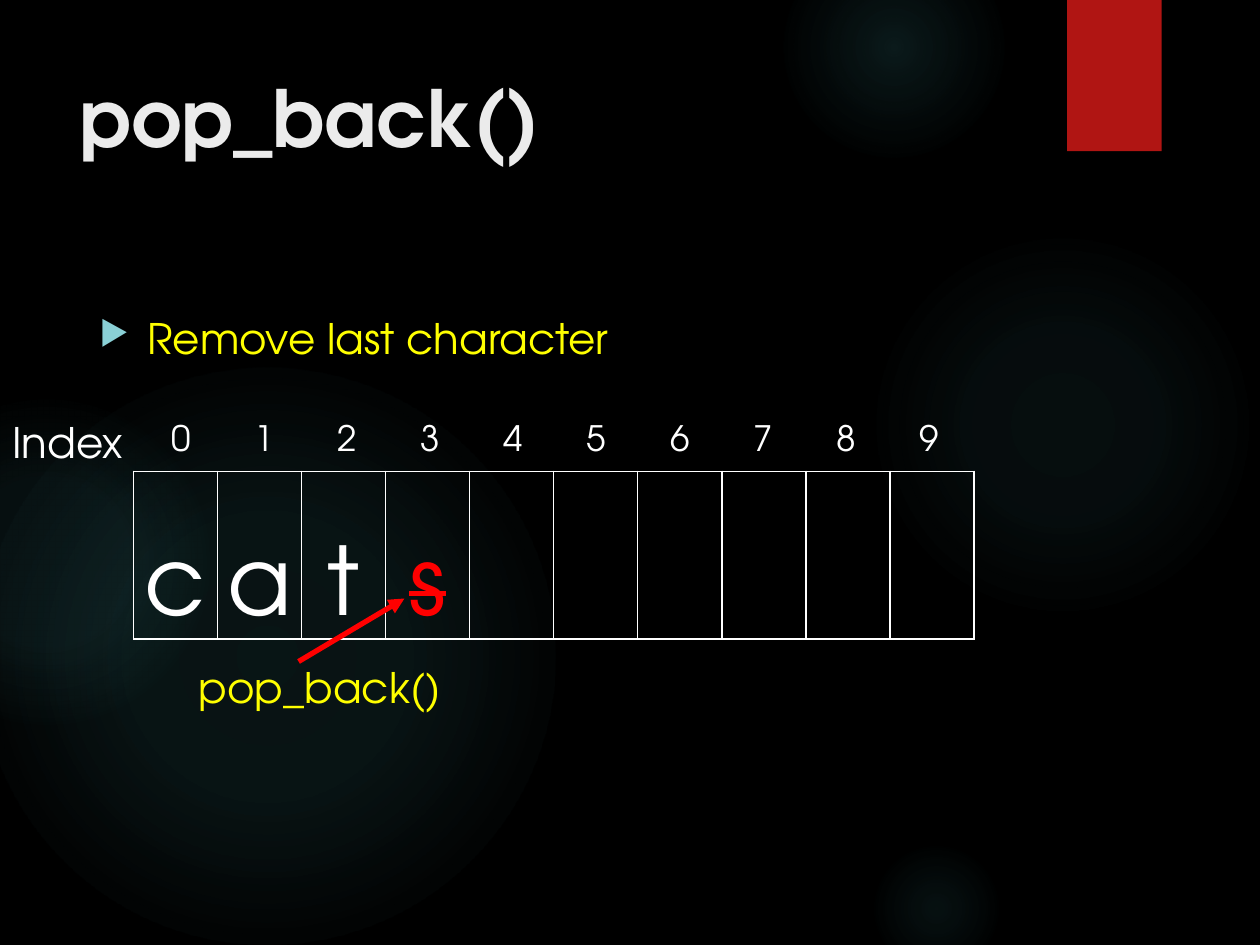
from lxml.etree import SubElement
from pptx import Presentation
from pptx.dml.color import RGBColor
from pptx.enum.shapes import MSO_CONNECTOR, MSO_SHAPE
from pptx.enum.text import MSO_ANCHOR, PP_ALIGN
from pptx.oxml import parse_xml
from pptx.oxml.ns import nsdecls, qn
from pptx.util import Inches, Pt

FONT = "TeX Gyre Adventor"
BLACK = RGBColor(0x00, 0x00, 0x00)
WHITE = RGBColor(0xFF, 0xFF, 0xFF)
OFF_WHITE = RGBColor(0xEB, 0xEB, 0xEB)
YELLOW = RGBColor(0xFF, 0xFF, 0x00)
RED = RGBColor(0xFF, 0x00, 0x00)
DARK_RED = RGBColor(0xB0, 0x15, 0x13)
TEAL = RGBColor(0x50, 0xB9, 0xC1)
BULLET_TEAL = RGBColor(0x8A, 0xD0, 0xD6)

GLOWS = [
    (6.89, 1.83, 3.08, [(0, 7), (36, 6), (69, 0)]),
    (6.22, -0.5, 1.75, [(0, 14), (36, 7), (73, 0)]),
    (6.89, 6.67, 1.08, [(0, 9), (36, 5), (66, 0)]),
    (-0.17, 2.92, 4.58, [(0, 11), (36, 10), (75, 0)]),
    (-0.92, 3.17, 2.58, [(0, 8), (36, 8), (72, 0)]),
]


class SlideBuilder:
    def __init__(self, page):
        self.page = page
        fill = page.background.fill
        fill.solid()
        fill.fore_color.rgb = BLACK

    def style(self, para, size, color, bold=False):
        for span in para.runs:
            span.font.name = FONT
            span.font.size = Pt(size)
            span.font.bold = bold
            span.font.color.rgb = color

    def shape(self, kind, left, top, width, height, color):
        shape = self.page.shapes.add_shape(
            kind, Inches(left), Inches(top), Inches(width), Inches(height))
        shape.shadow.inherit = False
        shape.line.fill.background()
        shape.fill.solid()
        shape.fill.fore_color.rgb = color
        return shape

    def glow(self, left, top, size, stops):
        circle = self.shape(MSO_SHAPE.OVAL, left, top, size, size, TEAL)
        stop_xml = "".join(
            f'<a:gs pos="{position * 1000}"><a:srgbClr val="{TEAL}">'
            f'<a:alpha val="{alpha * 1000}"/></a:srgbClr></a:gs>'
            for position, alpha in stops)
        gradient = parse_xml(
            f'<a:gradFill {nsdecls("a")} rotWithShape="1"><a:gsLst>{stop_xml}</a:gsLst>'
            '<a:path path="circle"><a:fillToRect l="50000" t="50000" r="50000" b="50000"/>'
            '</a:path></a:gradFill>')
        properties = circle._element.spPr
        properties.replace(properties.find(qn("a:solidFill")), gradient)

    def text(self, words, left, top, width, height, size, color, bold=False, wrap=True):
        box = self.page.shapes.add_textbox(
            Inches(left), Inches(top), Inches(width), Inches(height))
        frame = box.text_frame
        frame.word_wrap = wrap
        frame.vertical_anchor = MSO_ANCHOR.TOP
        frame.text = words
        para = frame.paragraphs[0]
        self.style(para, size, color, bold)
        return para

    def bullet(self, para, mark, color, indent):
        properties = para._p.get_or_add_pPr()
        properties.set("marL", str(Inches(indent)))
        properties.set("indent", str(-Inches(indent)))
        bullet_color = SubElement(properties, qn("a:buClr"))
        SubElement(bullet_color, qn("a:srgbClr"), val=str(color))
        SubElement(properties, qn("a:buSzPct"), val="80000")
        SubElement(properties, qn("a:buChar"), char=mark)

    def tabs(self, para, pitch, count):
        tab_list = SubElement(para._p.get_or_add_pPr(), qn("a:tabLst"))
        for step in range(1, count + 1):
            SubElement(tab_list, qn("a:tab"), pos=str(Inches(pitch * step)), algn="l")

    def border(self, cell, color, width):
        properties = cell._tc.get_or_add_tcPr()
        for side in ("lnL", "lnR", "lnT", "lnB"):
            line = SubElement(properties, qn(f"a:{side}"), w=str(Pt(width)))
            fill = SubElement(line, qn("a:solidFill"))
            SubElement(fill, qn("a:srgbClr"), val=str(color))

    def letter_table(self, letters, columns, left, top, width, height):
        table = self.page.shapes.add_table(
            1, columns, Inches(left), Inches(top), Inches(width), Inches(height)).table
        table.first_row = False
        table.horz_banding = False
        for cell, letter in zip(table.iter_cells(), letters.ljust(columns)):
            self.border(cell, WHITE, 1)
            cell.fill.background()
            cell.margin_left = cell.margin_right = Inches(0.07)
            cell.margin_top = cell.margin_bottom = Inches(0.04)
            cell.text = letter.strip()
            para = cell.text_frame.paragraphs[0]
            para.alignment = PP_ALIGN.CENTER
            para.line_spacing = Pt(90)
            self.style(para, 54, WHITE)
        return table

    def strike(self, cell, color):
        span = cell.text_frame.paragraphs[0].runs[0]
        span.font.color.rgb = color
        span._r.get_or_add_rPr().set("strike", "sngStrike")

    def arrow(self, start, end, color, width):
        connector = self.page.shapes.add_connector(
            MSO_CONNECTOR.STRAIGHT, *map(Inches, start + end))
        connector.line.color.rgb = color
        connector.line.width = Pt(width)
        SubElement(connector.line._get_or_add_ln(), qn("a:tailEnd"), type="triangle")
        SubElement(connector._element.spPr, qn("a:effectLst"))


def main():
    deck = Presentation()
    deck.slide_width = Inches(10)
    deck.slide_height = Inches(7.5)
    builder = SlideBuilder(deck.slides.add_slide(deck.slide_layouts[6]))

    for glow in GLOWS:
        builder.glow(*glow)
    builder.shape(MSO_SHAPE.RECTANGLE, 8.47, 0, 0.75, 1.2, DARK_RED)

    builder.text("pop_back()", 0.53, 0.5, 7.72, 1.53, 45, OFF_WHITE, bold=True)
    statement = builder.text("Remove last character", 0.69, 2.43, 8.62, 4.13, 24, YELLOW)
    builder.bullet(statement, "▶", BULLET_TEAL, 0.38)

    table = builder.letter_table("cats", 10, 1.06, 3.74, 6.67, 1.33)
    builder.strike(table.cell(0, 3), RED)

    builder.text("Index", 0, 3.26, 1.09, 0.5, 24, WHITE, wrap=False)
    indexes = builder.text("\t".join(map(str, range(10))), 1.26, 3.26, 6.39, 0.44, 20, WHITE)
    builder.tabs(indexes, 0.66, 9)

    builder.text("pop_back()", 1.48, 5.2, 2.14, 0.5, 24, YELLOW, wrap=False)
    builder.arrow((2.37, 5.25), (3.21, 4.75), RED, 3)
    deck.save("out.pptx")


if __name__ == "__main__":
    main()
